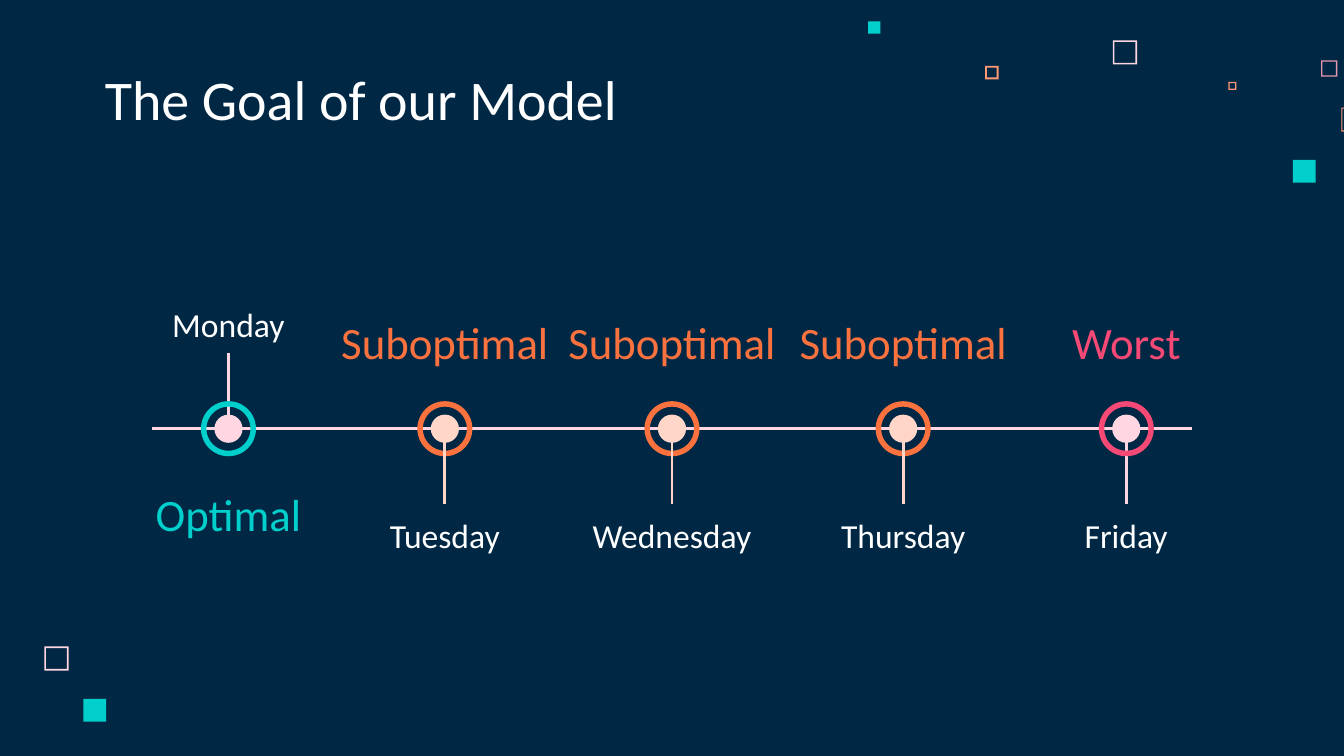
from lxml.etree import SubElement
from pptx import Presentation
from pptx.dml.color import RGBColor
from pptx.enum.shapes import MSO_CONNECTOR, MSO_SHAPE
from pptx.enum.text import MSO_ANCHOR, MSO_AUTO_SIZE, PP_ALIGN
from pptx.oxml.ns import qn
from pptx.util import Inches, Pt

COLORS = {
    "navy": "002845", "white": "FFFFFF", "teal": "00CFCC", "orange": "FC723F",
    "red": "F64975", "pink": "FFD6E1", "peach": "FFD6C7",
    "coral": "FF9973", "rose": "E898AC",
}
TITLE = "The Goal of our Model"
# day, rating, centre x, ring colour, dot colour, label width, day above the axis
DAYS = [
    ("Monday", "Optimal", 1.7, "teal", "pink", 1.41, True),
    ("Tuesday", "Suboptimal", 3.31, "orange", "peach", 1.86, False),
    ("Wednesday", "Suboptimal", 5, "orange", "peach", 1.86, False),
    ("Thursday", "Suboptimal", 6.72, "orange", "peach", 1.86, False),
    ("Friday", "Worst", 8.38, "red", "pink", 1.41, False),
]
# left, top, size, colour, border share of the size
HOLLOW_SQUARES = [
    (8.28, 0.3, 0.18, "pink", 0.07), (9.83, 0.45, 0.12, "rose", 0.08),
    (9.14, 0.61, 0.06, "coral", 0.16), (9.98, 0.8, 0.18, "coral", 0.05),
    (7.33, 0.49, 0.1, "coral", 0.14), (0.33, 4.81, 0.18, "pink", 0.07),
]
SOLID_SQUARES = [(9.62, 1.19, 0.17, "teal"), (6.46, 0.16, 0.09, "teal"),
                 (0.62, 5.2, 0.17, "teal")]
AXIS_Y, AXIS_LEFT, AXIS_RIGHT = 3.19, 1.13, 8.87
RING, DOT = 0.41, 0.21
DAY_WIDTH, LABEL_HEIGHT = 2.06, 0.47


def rgb(name):
    return RGBColor.from_string(COLORS[name])


def add_filled(s, kind, left, top, size, color, adj=None):
    sp = s.shapes.add_shape(kind, *map(Inches, (left, top, size, size)))
    sp.shadow.inherit = False
    sp.fill.solid()
    sp.fill.fore_color.rgb = rgb(color)
    sp.line.fill.background()
    if adj is not None:
        sp.adjustments[0] = adj


def add_line(s, x1, y1, x2, y2, color):
    line = s.shapes.add_connector(MSO_CONNECTOR.STRAIGHT, *map(Inches, (x1, y1, x2, y2)))
    line.line.color.rgb = rgb(color)
    line.line.width = Pt(1.5)
    SubElement(line._element.spPr, qn("a:effectLst"))


def set_text(sp, text, size, color, align, anchor):
    tf = sp.text_frame
    tf.text = text
    tf.word_wrap = True
    tf.auto_size = MSO_AUTO_SIZE.NONE
    tf.vertical_anchor = anchor
    tf.margin_left = tf.margin_right = tf.margin_top = tf.margin_bottom = Inches(0.1)
    p = tf.paragraphs[0]
    p.alignment = align
    font = p.runs[0].font
    font.name, font.size, font.color.rgb = "Calibri", Pt(size), rgb(color)


def add_label(s, text, x, top, width, size, color, anchor):
    """Add a text box centred on x."""
    sp = s.shapes.add_textbox(*map(Inches, (x - width / 2, top, width, LABEL_HEIGHT)))
    set_text(sp, text, size, color, PP_ALIGN.CENTER, anchor)


def add_marker(s, x, ring, dot):
    for kind, size, color, adj in ((MSO_SHAPE.OVAL, DOT, dot, None),
                                   (MSO_SHAPE.DONUT, RING, ring, 0.1)):
        add_filled(s, kind, x - size / 2, AXIS_Y - size / 2, size, color, adj)


def add_day(s, day, rating, x, ring, dot, width, above):
    stem = (x, 2.63, x, 3.13) if above else (x, 3.26, x, 3.75)
    if ring == "orange":  # orange rings sit behind their stems
        add_marker(s, x, ring, dot)
        add_line(s, *stem, dot)
    else:
        add_line(s, *stem, dot)
        add_marker(s, x, ring, dot)
    day_top, rating_top = (2.16, 3.59) if above else (3.76, 2.31)
    day_anchor = MSO_ANCHOR.TOP if above else MSO_ANCHOR.BOTTOM
    add_label(s, day, x, day_top, DAY_WIDTH, 18, "white", day_anchor)
    add_label(s, rating, x, rating_top, width, 24, ring, MSO_ANCHOR.MIDDLE)


def main():
    prs = Presentation()
    prs.slide_width = Inches(10)
    prs.slide_height = prs.slide_width * 9 // 16
    s = prs.slides.add_slide(prs.slide_layouts[5])
    s.background.fill.solid()
    s.background.fill.fore_color.rgb = rgb("navy")

    title = s.shapes.title
    title.left, title.top, title.width, title.height = map(Inches, (0.68, 0.45, 6.25, 0.63))
    set_text(title, TITLE, 30, "white", PP_ALIGN.LEFT, MSO_ANCHOR.BOTTOM)

    for square in HOLLOW_SQUARES:
        add_filled(s, MSO_SHAPE.FRAME, *square)
    for square in SOLID_SQUARES:
        add_filled(s, MSO_SHAPE.RECTANGLE, *square)
    add_line(s, AXIS_LEFT, AXIS_Y, AXIS_RIGHT, AXIS_Y, "pink")
    for day in DAYS:
        add_day(s, *day)
    prs.save("out.pptx")


if __name__ == "__main__":
    main()
